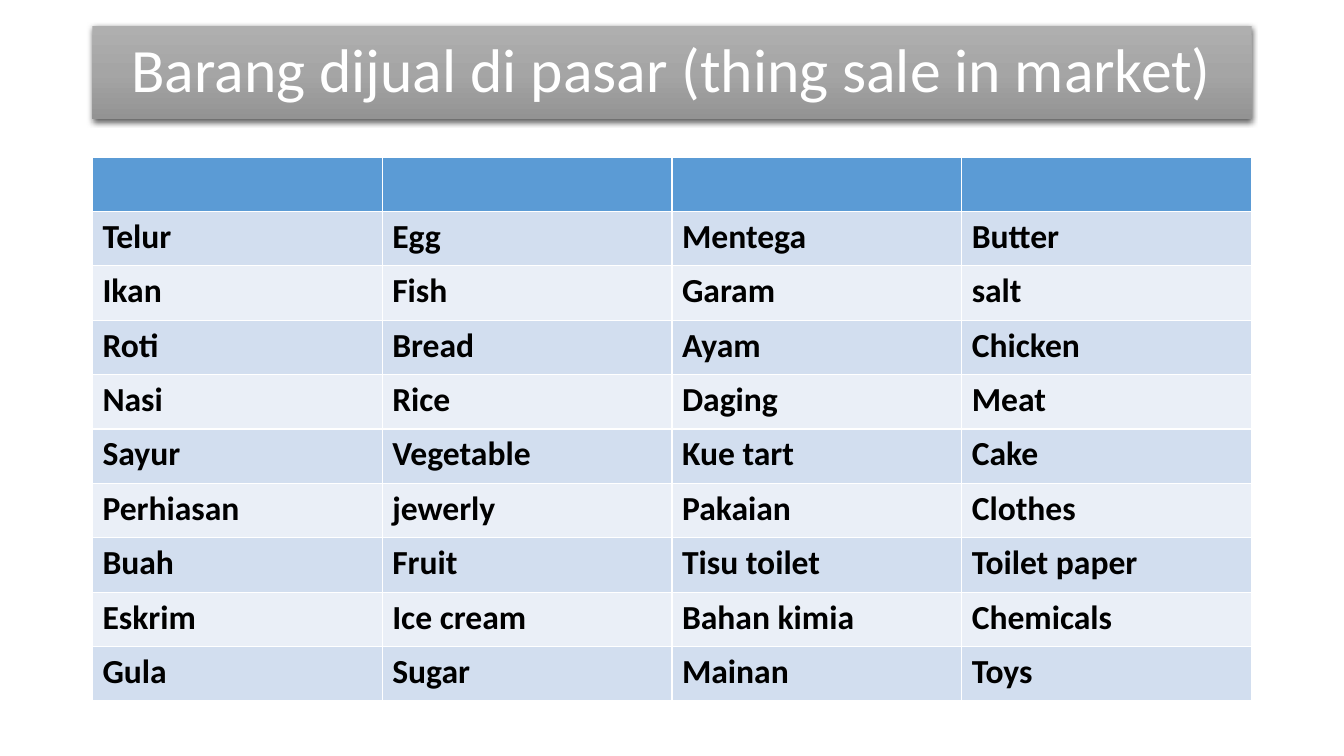
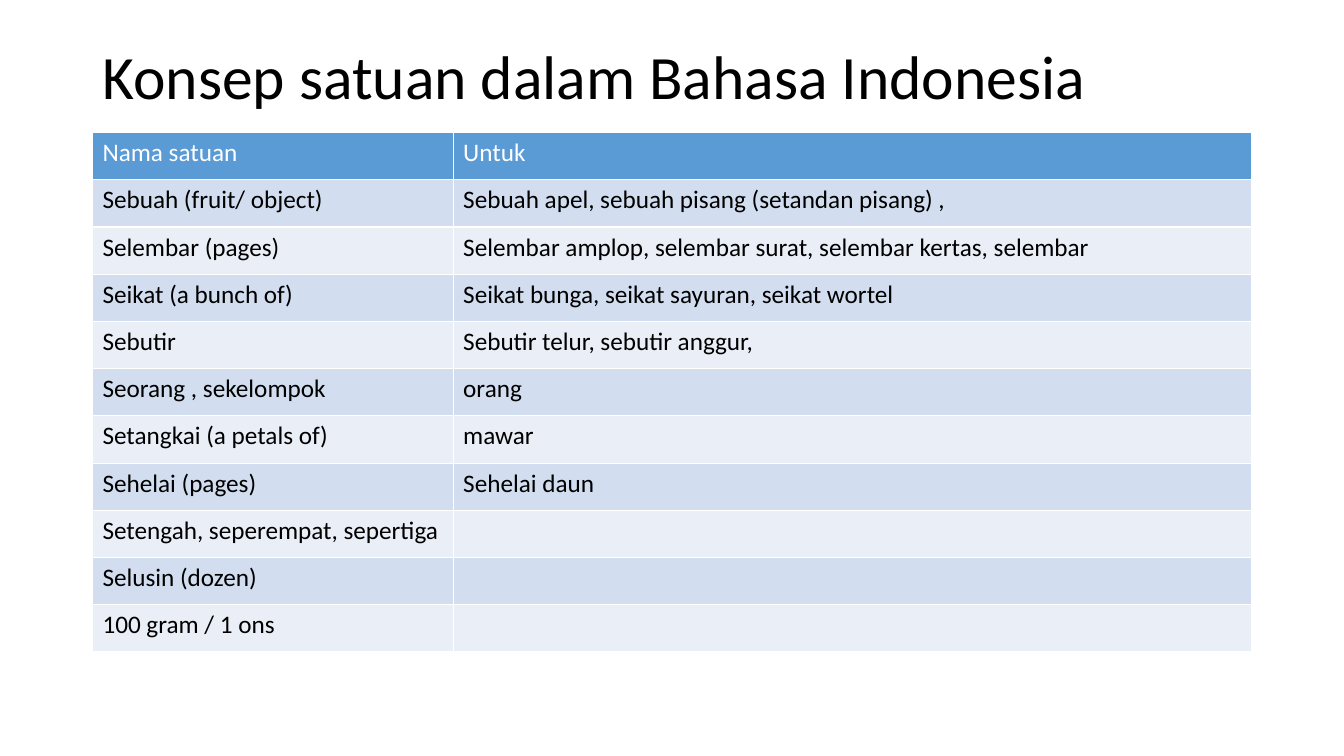
from dataclasses import dataclass

from pptx import Presentation
from pptx.dml.color import RGBColor as Rgb
from pptx.enum.text import MSO_ANCHOR as Anchor, MSO_AUTO_SIZE as AutoSize, PP_ALIGN as Align
from pptx.oxml import parse_xml
from pptx.oxml.ns import nsdecls
from pptx.util import Cm, Pt


@dataclass(frozen=True)
class Theme:
    font: str = "Calibri"
    white: Rgb = Rgb(0xFF, 0xFF, 0xFF)
    black: Rgb = Rgb(0x00, 0x00, 0x00)
    header: Rgb = Rgb(0x5B, 0x9B, 0xD5)
    bands: tuple = (Rgb(0xD2, 0xDE, 0xEF), Rgb(0xEA, 0xEF, 0xF7))
    band_greys: tuple = ((0, "AFAFAF"), (50, "A5A5A5"), (100, "939393"))
    title_size: Pt = Pt(44)
    goods_size: Pt = Pt(24)
    units_size: Pt = Pt(18)


theme = Theme()
LEFT, WIDTH = Cm(2.33), Cm(29.21)


def add_titled_page(text, top, height, color, align):
    page = deck.slides.add_slide(deck.slide_layouts[5])
    title = page.shapes.title
    title.left, title.top, title.width, title.height = LEFT, top, WIDTH, height
    frame = title.text_frame
    frame.text = text
    frame.auto_size = AutoSize.NONE
    frame.vertical_anchor = Anchor.MIDDLE
    para = frame.paragraphs[0]
    para.alignment = align
    para.line_spacing = 0.9
    para.font.name, para.font.size = theme.font, theme.title_size
    para.font.color.rgb = color
    return page


def add_banded_table(page, rows, top, row_height, column_widths, size, bold):
    """Add a table whose first row is the header; bold applies to the rows below."""
    table = page.shapes.add_table(
        len(rows), len(column_widths), LEFT, top, WIDTH, row_height * len(rows)).table
    for column, width in zip(table.columns, column_widths):
        column.width = width
    for row_index, texts in enumerate(rows):
        is_header = row_index == 0
        table.rows[row_index].height = row_height
        for cell, text in zip(table.rows[row_index].cells, texts):
            cell.fill.solid()
            cell.fill.fore_color.rgb = theme.header if is_header else theme.bands[(row_index - 1) % 2]
            cell.text = text
            font = cell.text_frame.paragraphs[0].font
            font.name, font.size = theme.font, size
            font.bold = bold and not is_header
            font.color.rgb = theme.white if is_header else theme.black


deck = Presentation()
deck.slide_width, deck.slide_height = Cm(33.87), Cm(19.05)

# Goods sold in the market
goods = [
    ("", "", "", ""),
    ("Telur", "Egg", "Mentega", "Butter"),
    ("Ikan", "Fish", "Garam", "salt"),
    ("Roti", "Bread", "Ayam", "Chicken"),
    ("Nasi", "Rice", "Daging", "Meat"),
    ("Sayur", "Vegetable", "Kue tart", "Cake"),
    ("Perhiasan", "jewerly", "Pakaian", "Clothes"),
    ("Buah", "Fruit", "Tisu toilet", "Toilet paper"),
    ("Eskrim", "Ice cream", "Bahan kimia", "Chemicals"),
    ("Gula", "Sugar", "Mainan", "Toys"),
]
goods_page = add_titled_page("Barang dijual di pasar (thing sale in market)",
                             Cm(0.66), Cm(2.34), theme.white, Align.CENTER)
stops = "".join(f'<a:gs pos="{percent * 1000}"><a:srgbClr val="{grey}"/></a:gs>'
                for percent, grey in theme.band_greys)
title_properties = goods_page.shapes.title.element.spPr
title_properties.append(parse_xml(
    f'<a:gradFill {nsdecls("a")} rotWithShape="1"><a:gsLst>{stops}</a:gsLst>'
    '<a:lin ang="5400000" scaled="0"/></a:gradFill>'))
title_properties.append(parse_xml(
    f'<a:effectLst {nsdecls("a")}>'
    f'<a:outerShdw blurRad="{Pt(4.5)}" dist="{Pt(1.5)}" dir="5400000" algn="ctr" rotWithShape="0">'
    '<a:srgbClr val="000000"><a:alpha val="63000"/></a:srgbClr></a:outerShdw></a:effectLst>'))
add_banded_table(goods_page, goods, Cm(3.96), Cm(1.37), [WIDTH // 4] * 4, theme.goods_size, True)

# Indonesian unit words
units = [
    ("Nama satuan", "Untuk"),
    ("Sebuah (fruit/ object)", "Sebuah apel, sebuah pisang (setandan pisang) ,"),
    ("Selembar (pages)", "Selembar amplop, selembar surat, selembar kertas, selembar"),
    ("Seikat (a bunch of)", "Seikat bunga, seikat sayuran, seikat wortel"),
    ("Sebutir", "Sebutir telur, sebutir anggur,"),
    ("Seorang , sekelompok", "orang"),
    ("Setangkai (a petals of)", "mawar"),
    ("Sehelai (pages)", "Sehelai daun"),
    ("Setengah, seperempat, sepertiga", ""),
    ("Selusin (dozen)", ""),
    ("100 gram / 1 ons", ""),
]
units_page = add_titled_page("Konsep satuan dalam Bahasa Indonesia",
                             Cm(1.02), Cm(1.98), theme.black, Align.LEFT)
name_width = Cm(9.09)
add_banded_table(units_page, units, Cm(3.34), Cm(1.19), [name_width, WIDTH - name_width],
                 theme.units_size, False)

deck.save("out.pptx")
